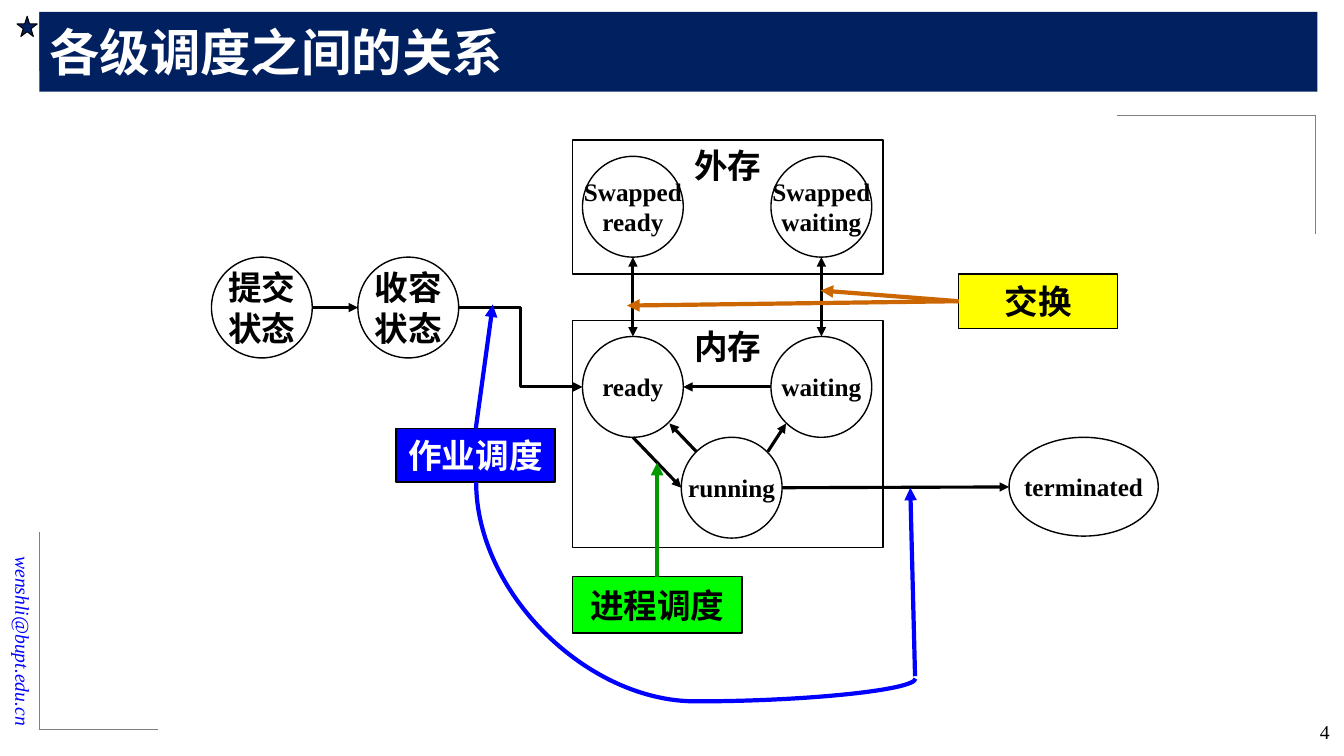
from lxml.etree import SubElement
from pptx import Presentation
from pptx.dml.color import RGBColor
from pptx.enum.shapes import MSO_CONNECTOR, MSO_SHAPE
from pptx.enum.text import MSO_ANCHOR, PP_ALIGN
from pptx.oxml.ns import qn
from pptx.util import Cm, Pt

SERIF, HAN = "Times New Roman", "Noto Sans CJK SC"
BLACK, WHITE, NAVY, BLUE, GREY = "000000", "FFFFFF", "002060", "0000FF", "808080"
colour = RGBColor.from_string


def write(frame, text, font, ink, align, **values):
    frame.text = text
    for paragraph in frame.paragraphs:
        paragraph.alignment = align
        for run in paragraph.runs:
            run.font.color.rgb = colour(ink)
            for key, value in {"name": font, **values}.items():
                setattr(run.font, key, value)
            SubElement(run._r.get_or_add_rPr(), qn("a:ea"), typeface=HAN)


def connect(kind, ends, ink, width, heads=()):
    link = slide.shapes.add_connector(kind, *[Cm(end) for end in ends])
    link.line.color.rgb = colour(ink)
    link.line.width = Pt(width)
    properties = link._element.spPr
    for head in heads:
        SubElement(properties.find(qn("a:ln")), qn(f"a:{head}"), type="triangle")
    SubElement(properties, qn("a:effectLst"))
    return properties


deck = Presentation()
deck.slide_width, deck.slide_height = Cm(33.87), Cm(19.05)
slide = deck.slides.add_slide(deck.slide_layouts[5])

for x, y, across, down in [(0.99, 0.3, 5, 1.5), (0.99, 18.39, 3, -4.98), (33.15, 2.9, -5, 3)]:
    connect(MSO_CONNECTOR.STRAIGHT, (x, y, x, y + down), GREY, 0.5)
    connect(MSO_CONNECTOR.STRAIGHT, (x, y, x + across, y), GREY, 0.5)

heading = slide.shapes.title
for key, value in {"left": 0.99, "top": 0.3, "width": 32.21, "height": 2.01}.items():
    setattr(heading, key, Cm(value))
heading.fill.solid()
heading.fill.fore_color.rgb = colour(NAVY)
heading.text_frame.vertical_anchor = MSO_ANCHOR.MIDDLE
write(heading.text_frame, "各级调度之间的关系", SERIF, WHITE, PP_ALIGN.LEFT, size=Pt(36), bold=True)
slide.shapes._spTree.append(heading._element)

ready_x, waiting_x, running_x, circle = 14.68, 19.43, 17.17, 2.54
swapped_y, submit_y, memory_y, running_y = 3.94, 6.48, 8.48, 11.02
RECT, OVAL = MSO_SHAPE.RECTANGLE, MSO_SHAPE.OVAL
TOP, MIDDLE = MSO_ANCHOR.TOP, MSO_ANCHOR.MIDDLE
han_style, latin_style = (HAN, 24), (SERIF, 18)

nodes = [
    (MSO_SHAPE.STAR_5_POINT, 0.43, 0.41, 0.51, 0.51, "", han_style, NAVY, BLACK, MIDDLE),
    (RECT, 14.43, 8.08, 7.82, 5.72, "内存", han_style, None, BLACK, TOP),
    (RECT, 14.43, 3.53, 7.82, 3.38, "外存", han_style, None, BLACK, TOP),
    (OVAL, 25.43, 11.02, 3.76, 2.49, "terminated", latin_style, None, BLACK, MIDDLE),
    (RECT, 14.43, 14.53, 4.27, 1.42, "进程调度", han_style, "00FF00", BLACK, MIDDLE),
    (RECT, 9.98, 10.8, 4.01, 1.35, "作业调度", han_style, BLUE, WHITE, MIDDLE),
    (RECT, 24.16, 6.91, 4.01, 1.37, "交换", han_style, "FFFF00", BLACK, MIDDLE),
]
states = [
    (5.33, submit_y, "提交\n状态", han_style),
    (9.02, submit_y, "收容\n状态", han_style),
    (running_x, running_y, "running", latin_style),
    (waiting_x, memory_y, "waiting", latin_style),
    (ready_x, memory_y, "ready", latin_style),
    (waiting_x, swapped_y, "Swapped\nwaiting", latin_style),
    (ready_x, swapped_y, "Swapped\nready", latin_style),
]
for x, y, label, style in states:
    nodes.append((OVAL, x, y, circle, circle, label, style, None, BLACK, MIDDLE))

for preset, x, y, width, height, label, (font, size), fill, ink, anchor in nodes:
    node = slide.shapes.add_shape(preset, Cm(x), Cm(y), Cm(width), Cm(height))
    node.shadow.inherit = False
    node.line.color.rgb = colour(BLACK)
    node.line.width = Pt(1 if label else 0.75)
    if fill:
        node.fill.solid()
        node.fill.fore_color.rgb = colour(fill)
    else:
        node.fill.background()
    if label:
        for key, value in {"word_wrap": False, "vertical_anchor": anchor}.items():
            setattr(node.text_frame, key, value)
        write(node.text_frame, label, font, ink, PP_ALIGN.CENTER, size=Pt(size), bold=True)

radius = circle / 2
arrow, both_ways = ["tailEnd"], ["headEnd", "tailEnd"]
for ends in [
    (7.87, 7.75, 9.02, 7.75),
    (waiting_x, 9.75, ready_x + circle, 9.75),
    (19.35, 11.38, 19.81, 10.67),
    (17.55, 11.38, 16.87, 10.67),
    (ready_x + radius, running_y, running_x, 12.29),
    (running_x + circle, 12.29, 25.43, 12.27),
]:
    connect(MSO_CONNECTOR.STRAIGHT, ends, BLACK, 2.25, arrow)
for x in (ready_x + radius, waiting_x + radius):
    connect(MSO_CONNECTOR.STRAIGHT, (x, swapped_y + circle, x, memory_y), BLACK, 2.25, both_ways)
connect(MSO_CONNECTOR.ELBOW, (11.56, 7.75, ready_x, 9.75), BLACK, 2.25, arrow)

for ends, ink in [
    ((11.99, 10.8, 12.42, 7.67), BLUE),
    ((16.56, 14.53, 16.56, 11.66), "009900"),
    ((24.16, 7.59, 20.68, 7.32), "CC6600"),
    ((24.16, 7.59, 15.8, 7.7), "CC6600"),
    ((23.06, 17.04, 22.94, 12.29), BLUE),
]:
    connect(MSO_CONNECTOR.STRAIGHT, ends, ink, 3, arrow)

job_curve = connect(MSO_CONNECTOR.CURVE, (15.06, 9.09, 20.01, 20.16), BLUE, 3)
for key, value in {"rot": "16200000", "flipH": "1"}.items():
    job_curve.find(qn("a:xfrm")).set(key, value)
bends = job_curve.find(qn("a:prstGeom")).find(qn("a:avLst"))
SubElement(bends, qn("a:gd"), name="adj1", fmla="val 111600")

for x, y, width, height, turn, label, ink, italic in [
    (-2.77, 14.76, 6.71, 0.86, 90, "wenshli@bupt.edu.cn", BLUE, True),
    (30.94, 17.98, 2.82, 0.91, 0, "4", BLACK, False),
]:
    margin_note = slide.shapes.add_textbox(Cm(x), Cm(y), Cm(width), Cm(height))
    margin_note.rotation = turn
    for key, value in {"word_wrap": True, "vertical_anchor": MIDDLE}.items():
        setattr(margin_note.text_frame, key, value)
    write(margin_note.text_frame, label, SERIF, ink, PP_ALIGN.RIGHT, size=Pt(14), italic=italic)

deck.save("out.pptx")
